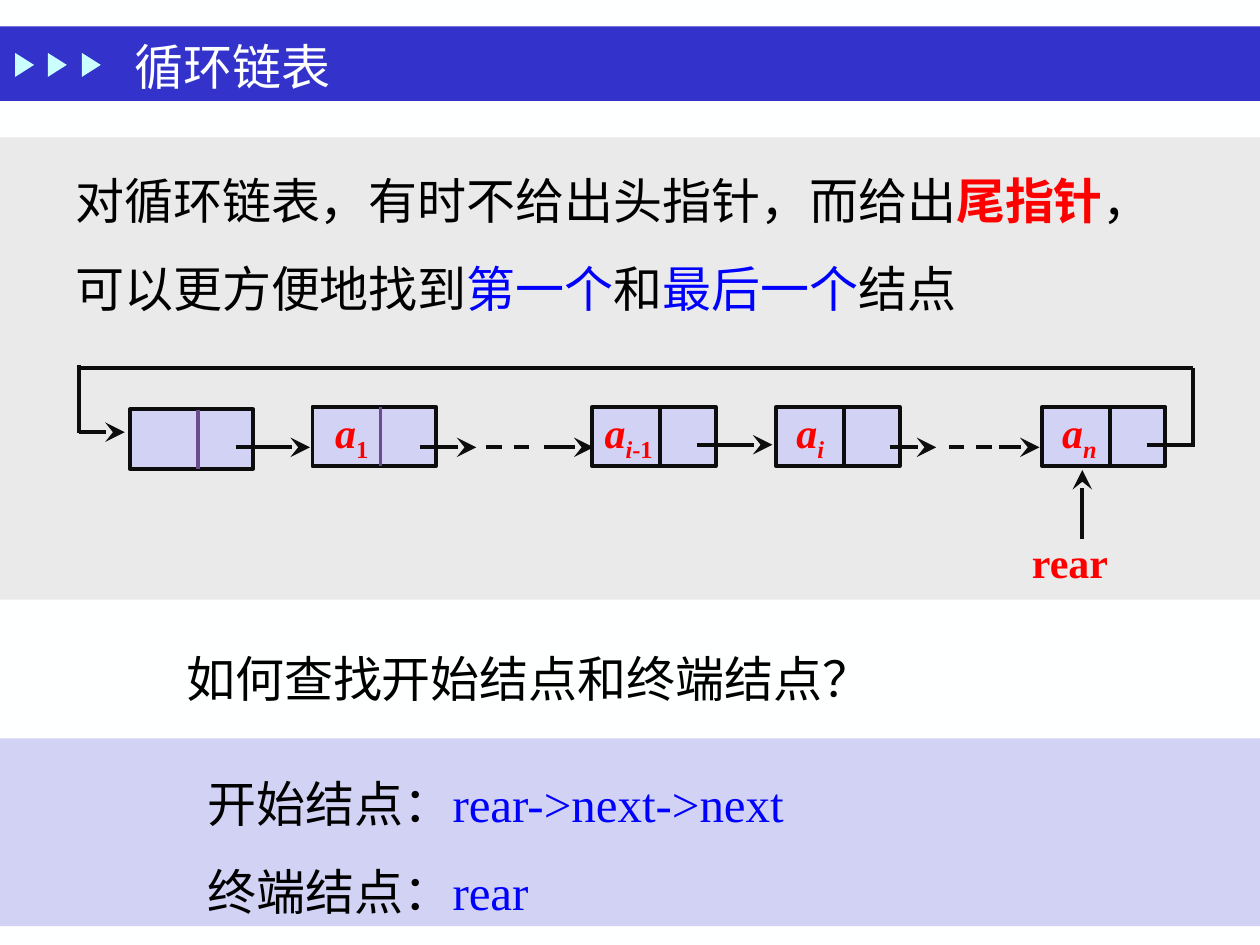
from lxml import etree
from pptx import Presentation
from pptx.dml.color import RGBColor
from pptx.enum.dml import MSO_LINE
from pptx.enum.shapes import MSO_CONNECTOR, MSO_SHAPE
from pptx.enum.text import MSO_ANCHOR, PP_ALIGN
from pptx.oxml.ns import qn
from pptx.util import Inches, Pt

RECT, TRI = MSO_SHAPE.RECTANGLE, MSO_SHAPE.ISOSCELES_TRIANGLE
LINE, DASH = MSO_CONNECTOR.STRAIGHT, MSO_LINE.DASH
TOP, MID, LEFT = MSO_ANCHOR.TOP, MSO_ANCHOR.MIDDLE, PP_ALIGN.LEFT

PAPER = RGBColor(0xFE, 0xFF, 0xFF)
BAND = RGBColor(0x33, 0x33, 0xCC)
ICE = RGBColor(0xCB, 0xFF, 0xFF)
GREY = RGBColor(0xEA, 0xEA, 0xEA)
LILAC = RGBColor(0xD2, 0xD2, 0xF4)
PLUM = RGBColor(0x6C, 0x4C, 0x8F)
INK = RGBColor(0x0D, 0x0D, 0x0D)
BLACK = RGBColor(0, 0, 0)
RED = RGBColor(0xFF, 0, 0)
BLUE = RGBColor(0, 0, 0xFF)
FACE = "Times New Roman"

# The slide is a grid of 100 columns by 75 rows
COLS, ROWS = 100, 75


def unit(n):
    return Inches(round(n / 10, 2))


def place(box):
    return [unit(n) for n in box]


def block(slide, kind, box, fill, edge=None):
    shape = slide.shapes.add_shape(kind, *place(box))
    shape.shadow.inherit = False
    shape.fill.solid()
    shape.fill.fore_color.rgb = fill
    if edge:
        shape.line.color.rgb = edge
        shape.line.width = Pt(2.25)
    else:
        shape.line.fill.background()
    return shape


def stroke(slide, ends, color=INK, head=False, dash=False):
    line = slide.shapes.add_connector(LINE, *place(ends))
    line.line.color.rgb = color
    line.line.width = Pt(2.25)
    if dash:
        line.line.dash_style = DASH
    if head:
        etree.SubElement(line.line._get_or_add_ln(), qn("a:tailEnd"),
                         type="stealth", w="lg", len="lg")
    etree.SubElement(line._element.spPr, qn("a:effectLst"))


def write(shape, paras, size=28, space=None, inset=(1, .5, 1, .5),
          anchor=TOP, wrap=True):
    """Each run is (text, color, style); style holds b, i and s (subscript)."""
    frame = shape.text_frame
    frame.word_wrap = wrap
    frame.vertical_anchor = anchor
    (frame.margin_left, frame.margin_top,
     frame.margin_right, frame.margin_bottom) = place(inset)
    for n, runs in enumerate(paras):
        para = frame.add_paragraph() if n else frame.paragraphs[0]
        para.alignment = LEFT
        if space:
            para.line_spacing = space
        for text, color, style in runs:
            run = para.add_run()
            run.text = text
            font = run.font
            font.name, font.size = FACE, Pt(size)
            font.color.rgb = color
            font.bold, font.italic = "b" in style, "i" in style
            if "s" in style:
                font._element.set("baseline", "-25000")


def label(slide, box, paras, **look):
    write(slide.shapes.add_textbox(*place(box)), paras, **look)


def header(slide, box):
    x, y, w, h = box
    block(slide, RECT, box, BAND)
    for n in range(3):
        mark = block(slide, TRI, (x + 1 + 2.65 * n, y + 2.3, 1.9, 1.5), ICE)
        mark.rotation = 90
    title = slide.shapes.title
    title.left, title.top, title.width, title.height = place(
        (x + 9.7, y - .6, 78.4, 7.5))
    write(title, [[("循环链表", PAPER, "")]], anchor=MID)


def node(slide, box, runs, inset, split):
    x, y, w, h = box
    cell = block(slide, RECT, box, LILAC, INK)
    if runs:
        write(cell, [runs], size=24, space=.9, inset=(inset, 0, 0, .8))
    stroke(slide, (x + 5.4, y, x + 5.4, y + h), split)


def ring(slide, box):
    x, y, w, h = box
    top = y + 21.4
    mid = top + 3.2
    a = ("a", RED, "bi")
    # Nodes: left, drop, runs, inset, divider
    for left, drop, runs, inset, split in (
            (10.3, .2, [], 0, PLUM),
            (24.8, 0, [a, ("1", RED, "bs")], 1.8, PLUM),
            (47, 0, [a, ("i", RED, "bis"), ("-1", RED, "bs")], 1, INK),
            (61.6, 0, [a, ("i", RED, "bis")], 1.6, INK),
            (82.7, 0, [a, ("n", RED, "bis")], 1.6, INK)):
        node(slide, (x + left, top + drop, 9.8, 4.7), runs, inset, split)
    # Links between nodes
    for start, end, lift in ((18.7, 24.6, 0), (33.3, 37.8, 0), (43.2, 47.1, 0),
                             (55.3, 61.3, .2), (70.6, 74.3, 0),
                             (79.3, 82.5, 0)):
        stroke(slide, (x + start, mid - lift, x + end, mid - lift), head=True)
    for start, end in ((38.6, 42.1), (75.3, 78.8)):
        stroke(slide, (x + start, mid, x + end, mid), dash=True)
    # Way back from the last node to the first
    west, east, roof = x + 6.3, x + 94.7, y + 18.3
    stroke(slide, (x + 91, mid - .2, east, mid - .2))
    stroke(slide, (east, roof, east, mid))
    stroke(slide, (west - .2, roof, east, roof))
    stroke(slide, (west, roof - .2, west, top + 2.1))
    stroke(slide, (west, top + 2, x + 9.9, top + 2), head=True)
    # Rear pointer
    stroke(slide, (x + 85.9, y + 31.9, x + 85.9, y + 26.4), head=True)
    label(slide, (x + 81.9, y + 31.7, 8.3, 5.1), [[("rear", RED, "b")]],
          size=24, inset=(0, 0, 0, .4))


def panel(slide, box):
    x, y, w, h = box
    block(slide, RECT, box, GREY)
    label(slide, (x + 5, y - .2, 88.6, 14.3), [[
        ("对循环链表，有时不给出头指针，而给出", BLACK, ""),
        ("尾指针", RED, "b"),
        ("，可以更方便地找到", BLACK, ""),
        ("第一个", BLUE, ""),
        ("和", BLACK, ""),
        ("最后一个", BLUE, ""),
        ("结点", BLACK, "")]], space=1.5)
    ring(slide, box)


def answer(slide, box):
    rows = (("开始结点：", "rear->next->next"), ("终端结点：", "rear"))
    write(block(slide, RECT, box, LILAC),
          [[(name, BLACK, ""), (code, BLUE, "")] for name, code in rows],
          space=1.5, inset=(16.5, .5, 1, .5), anchor=MID)


def main():
    deck = Presentation()
    deck.slide_width, deck.slide_height = unit(COLS), unit(ROWS)
    slide = deck.slides.add_slide(deck.slide_layouts[5])
    slide.background.fill.solid()
    slide.background.fill.fore_color.rgb = PAPER
    header(slide, (0, 2.1, COLS, 5.9))
    # Send the title in front of the band
    tree = slide.shapes._spTree
    tree.append(slide.shapes.title._element)
    panel(slide, (0, 10.9, COLS, 36.7))
    label(slide, (13.8, 51, 63.5, 5.7),
          [[("如何查找开始结点和终端结点？", BLACK, "")]])
    answer(slide, (0, 58.6, COLS, 14.9))
    deck.save("out.pptx")


if __name__ == "__main__":
    main()
